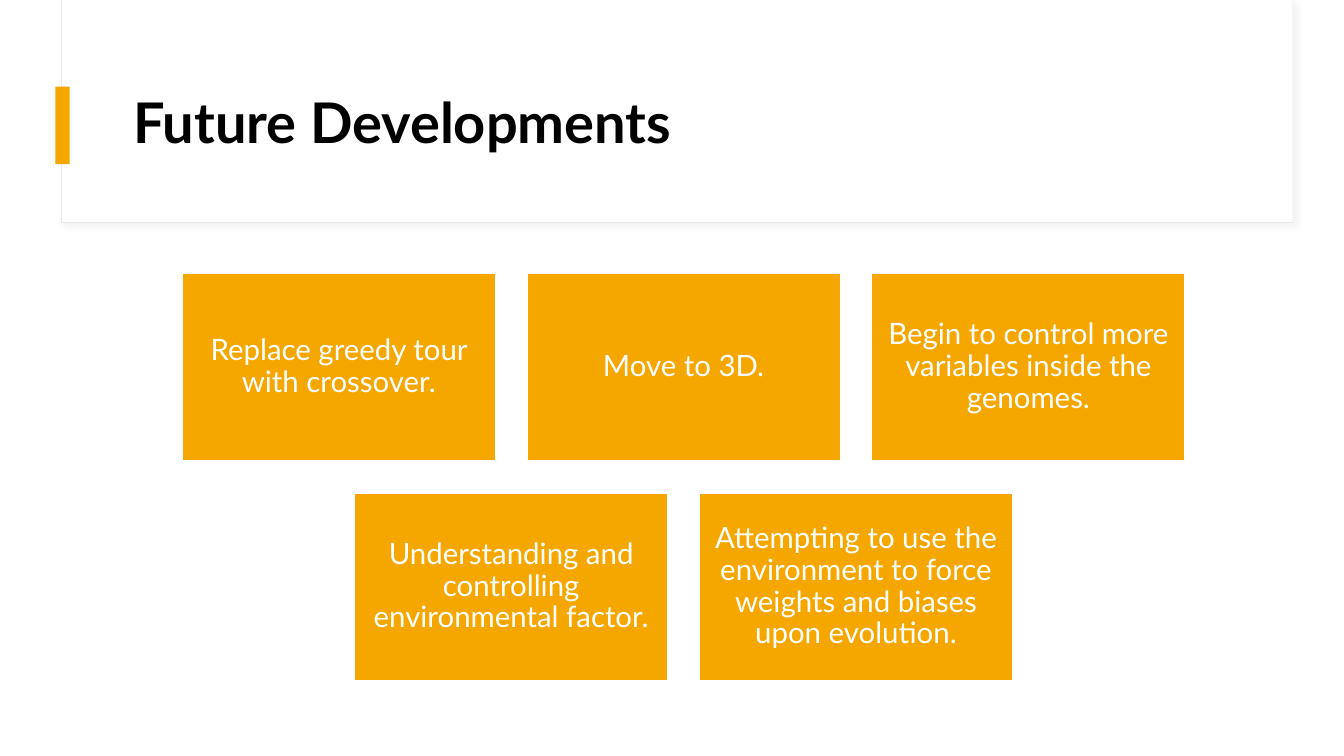
from dataclasses import dataclass

from lxml import etree
from pptx import Presentation
from pptx.dml.color import RGBColor
from pptx.enum.shapes import MSO_SHAPE as Shape
from pptx.enum.text import MSO_ANCHOR as Anchor, PP_ALIGN as Align
from pptx.oxml.ns import qn
from pptx.util import Inches, Pt


@dataclass(frozen=True)
class Theme:
    font: str = "Lato"
    title_size: int = 40
    card_size: int = 21
    accent: str = "F5A700"
    white: str = "FFFFFF"
    black: str = "000000"
    panel_line: str = "E9E9E9"
    shadow: str = "D9D9D9"


THEME = Theme()

CARD_ROWS = [
    [
        "Replace greedy tour with crossover.",
        "Move to 3D.",
        "Begin to control more variables inside the genomes.",
    ],
    [
        "Understanding and controlling environmental factor.",
        "Attempting to use the environment to force weights and biases upon evolution.",
    ],
]
CARD_WIDTH, CARD_HEIGHT = 3.11, 1.86
COLUMN_PITCH, ROW_PITCH = 3.42, 2.18
GRID_CENTER, GRID_TOP = 6.78, 2.71


def color(value):
    return RGBColor.from_string(value)


def add_box(page, left, top, width, height, fill, line=None, line_width=1):
    box = page.shapes.add_shape(
        Shape.RECTANGLE, Inches(left), Inches(top), Inches(width), Inches(height)
    )
    box.shadow.inherit = False
    box.fill.solid()
    box.fill.fore_color.rgb = color(fill)
    if line:
        box.line.color.rgb = color(line)
        box.line.width = Pt(line_width)
    else:
        box.line.fill.background()
    return box


def add_soft_shadow(box):
    effects = box.element.spPr.find(qn("a:effectLst"))
    shadow = etree.SubElement(
        effects, qn("a:outerShdw"),
        blurRad=str(Pt(4)), dist=str(Pt(3)), dir=str(45 * 60000),
        algn="tl", rotWithShape="0",
    )
    tint = etree.SubElement(shadow, qn("a:srgbClr"), val=THEME.shadow)
    etree.SubElement(tint, qn("a:alpha"), val="30000")


def write_text(frame, text, size, ink, align, bold=False):
    frame.word_wrap = True
    frame.vertical_anchor = Anchor.MIDDLE
    para = frame.paragraphs[0]
    para.alignment = align
    para.line_spacing = 0.9
    span = para.add_run()
    span.text = text
    span.font.name = THEME.font
    span.font.size = Pt(size)
    span.font.bold = bold
    span.font.color.rgb = color(ink)


def add_header(page):
    panel = add_box(page, 0.61, 0, 12.21, 2.21, THEME.white, THEME.panel_line, 0.75)
    add_soft_shadow(panel)
    add_box(page, 0.62, 0, 12.2, 2.2, THEME.white)
    add_box(page, 0.55, 0.86, 0.14, 0.77, THEME.accent)


def place_title(page, text):
    """Format the title placeholder and bring it in front of the header panel."""
    title = page.shapes.title
    title.left, title.top = Inches(1.22), Inches(0.6)
    title.width, title.height = Inches(11.12), Inches(1.29)
    write_text(title.text_frame, text, THEME.title_size, THEME.black, Align.LEFT, bold=True)
    title.element.getparent().append(title.element)


def add_card(page, left, top, text):
    card = add_box(page, left, top, CARD_WIDTH, CARD_HEIGHT, THEME.accent, THEME.white)
    frame = card.text_frame
    frame.margin_left = frame.margin_right = Inches(0.09)
    frame.margin_top = frame.margin_bottom = Inches(0.09)
    write_text(frame, text, THEME.card_size, THEME.white, Align.CENTER)


def add_card_grid(page):
    """Lay out the cards with each row centred on the same axis."""
    for row, texts in enumerate(CARD_ROWS):
        row_width = (len(texts) - 1) * COLUMN_PITCH + CARD_WIDTH
        row_left = GRID_CENTER - row_width / 2
        for column, text in enumerate(texts):
            add_card(page, row_left + column * COLUMN_PITCH, GRID_TOP + row * ROW_PITCH, text)


def main():
    deck = Presentation()
    deck.slide_width, deck.slide_height = Inches(13.33), Inches(7.5)
    page = deck.slides.add_slide(deck.slide_layouts.get_by_name("Title Only"))
    add_header(page)
    place_title(page, "Future Developments")
    add_card_grid(page)
    deck.save("out.pptx")


if __name__ == "__main__":
    main()
